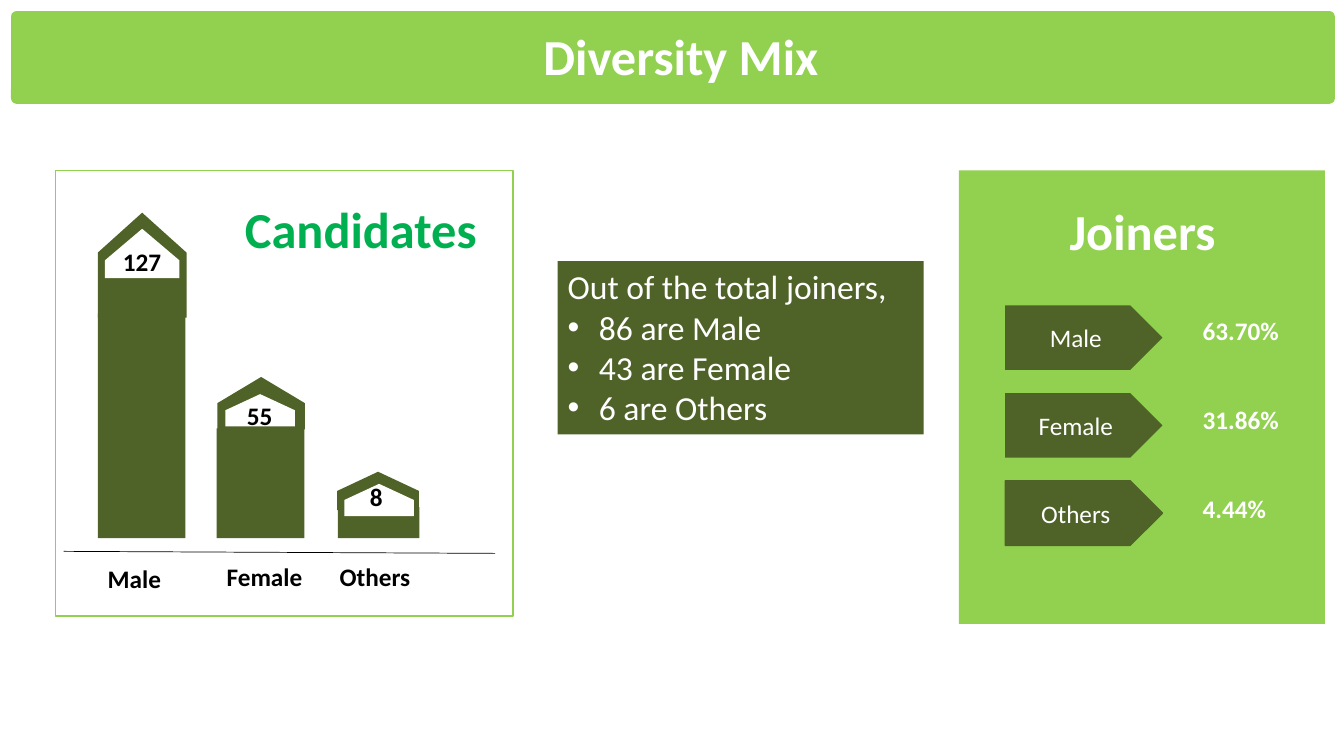
"""Build the Diversity Mix slide."""
import dataclasses

import lxml.etree
import pptx
import pptx.dml.color
import pptx.enum.shapes
import pptx.enum.text
import pptx.oxml.ns
import pptx.util

Inches = pptx.util.Inches
Kind = pptx.enum.shapes.MSO_SHAPE
Align = pptx.enum.text.PP_ALIGN
Anchor = pptx.enum.text.MSO_ANCHOR
Fit = pptx.enum.text.MSO_AUTO_SIZE


@dataclasses.dataclass
class Theme:
    font: str = "Calibri"
    lime: str = "92D050"
    olive: str = "4F6228"
    green: str = "00B050"
    white: str = "FFFFFF"
    black: str = "000000"
    head: int = 36
    list: int = 24
    label: int = 18


class Deck:
    def __init__(self, theme):
        self.theme = theme
        self.show = pptx.Presentation()
        self.show.slide_width = Inches(13.33)
        self.show.slide_height = Inches(7.5)
        self.slide = self.show.slides.add_slide(self.show.slide_layouts[1])

    def color(self, code):
        return pptx.dml.color.RGBColor.from_string(code)

    def place(self, shape, box):
        shape.left, shape.top, shape.width, shape.height = map(Inches, box)

    def style(self, frame, size, color, bold=False, align=Align.LEFT):
        for para in frame.paragraphs:
            para.alignment = align
            for run in para.runs:
                run.font.name = self.theme.font
                run.font.size = pptx.util.Pt(size)
                run.font.bold = bold
                run.font.color.rgb = self.color(color)

    def shape(self, kind, box, fill, line=None, adjust=None):
        shape = self.slide.shapes.add_shape(kind, *map(Inches, box))
        shape.shadow.inherit = False
        shape.fill.solid()
        shape.fill.fore_color.rgb = self.color(fill)
        if line:
            shape.line.color.rgb = self.color(line)
            shape.line.width = pptx.util.Pt(1)
        else:
            shape.line.fill.background()
        if adjust is not None:
            shape.adjustments[0] = adjust
        return shape

    def gable(self, mid, top, wide, high, fill, adjust):
        box = (mid - high / 2, top + (high - wide) / 2, high, wide)
        self.shape(Kind.PENTAGON, box, fill, adjust=adjust).rotation = 270

    def tag(self, box, text, line=None):
        shape = self.shape(Kind.PENTAGON, box, self.theme.olive, line)
        shape.text_frame.text = text
        shape.text_frame.vertical_anchor = Anchor.MIDDLE
        self.style(shape.text_frame, self.theme.label, self.theme.white, align=Align.CENTER)

    def text(self, box, text, size, color, align=Align.LEFT, wrap=True):
        frame = self.slide.shapes.add_textbox(*map(Inches, box)).text_frame
        frame.word_wrap = wrap
        frame.text = text
        self.style(frame, size, color, True, align)

    def title(self, bar, box, text):
        title = self.slide.shapes.title
        self.place(title, box)
        bar._element.addnext(title._element)
        frame = title.text_frame
        frame.text = text
        frame.auto_size = Fit.NONE
        frame.vertical_anchor = Anchor.TOP
        self.style(frame, self.theme.head, self.theme.white, True)

    def list(self, box, lines):
        body = self.slide.placeholders[1]
        self.place(body, box)
        body.fill.solid()
        body.fill.fore_color.rgb = self.color(self.theme.olive)
        frame = body.text_frame
        frame.text = "\n".join(lines)
        frame.auto_size = Fit.NONE
        for rank, para in enumerate(frame.paragraphs):
            para.space_before = pptx.util.Pt(0)
            props = para._p.get_or_add_pPr()
            inset = Inches(0.31) if rank else 0
            props.set("marL", str(inset))
            props.set("indent", str(-inset))
            name = "a:buChar" if rank else "a:buNone"
            mark = lxml.etree.SubElement(props, pptx.oxml.ns.qn(name))
            if rank:
                mark.set("char", "•")
        self.style(frame, self.theme.list, self.theme.white, align=Align.JUSTIFY)

    def line(self, start, end):
        line = self.slide.shapes.add_connector(
            pptx.enum.shapes.MSO_CONNECTOR.STRAIGHT, *map(Inches, start + end))
        line.line.color.rgb = self.color(self.theme.black)
        line.line.width = pptx.util.Pt(0.5)
        lxml.etree.SubElement(line._element.spPr, pptx.oxml.ns.qn("a:effectLst"))


def main():
    theme = Theme()
    deck = Deck(theme)
    deck.shape(Kind.ROUNDED_RECTANGLE, (9.51, 1.69, 3.63, 4.5), theme.lime, adjust=0)
    bar = deck.shape(Kind.ROUNDED_RECTANGLE, (0.11, 0.11, 13.13, 0.92), theme.lime, adjust=0.058)
    deck.title(bar, (5.29, 0.2, 5.22, 0.71), "Diversity Mix")
    deck.list((5.53, 2.59, 3.63, 1.72), [
        "Out of the total joiners,", "86 are Male", "43 are Female", "6 are Others"])

    deck.text((10.51, 1.94, 1.74, 0.71), "Joiners", theme.head, theme.white)
    shares = [("Male", "63.70%", None), ("Female", "31.86%", None),
              ("Others", "4.44%", theme.olive)]
    for rank, (name, share, edge) in enumerate(shares):
        deck.tag((9.97, 3.03 + 0.87 * rank, 1.56, 0.64), name, edge)
        deck.text((11.83, 3.08 + 0.88 * rank, 0.96, 0.4), share,
                  theme.label, theme.white, wrap=False)

    deck.shape(Kind.RECTANGLE, (0.55, 1.69, 4.54, 4.42), theme.white, theme.lime)
    deck.text((2.3, 1.92, 2.56, 0.71), "Candidates", theme.head, theme.green, Align.CENTER)
    base = 5.34
    towers = [
        ((0.97, 3.11, 0.87), (1.41, 2.11, 0.88, 1.04), 0.45, (1.41, 2.27, 0.74, 0.49), 0.64,
         "127", (1.12, 2.39, 0.59, 0.4), "Male", (0.97, 5.54, 0.73, 0.4)),
        ((2.15, 4.25, 0.87), (2.59, 3.74, 0.87, 0.52), 0.5, (2.58, 3.91, 0.69, 0.32), 0.5,
         "55", (2.35, 3.92, 0.46, 0.4), "Female", (2.15, 5.52, 0.96, 0.4)),
        ((3.35, 5.03, 0.81), (3.75, 4.68, 0.81, 0.38), 0.5, (3.76, 4.8, 0.69, 0.32), 0.5,
         "8", (3.57, 4.73, 0.31, 0.4), "Others", (3.27, 5.52, 0.91, 0.4)),
    ]
    for (left, top, wide), roof, slope, pane, pitch, count, spot, name, foot in towers:
        deck.shape(Kind.RECTANGLE, (left, top, wide, base - top), theme.olive)
        deck.gable(*roof, theme.olive, slope)
        deck.gable(*pane, theme.white, pitch)
        deck.text(spot, count, theme.label, theme.black)
        deck.text(foot, name, theme.label, theme.black)
    deck.line((0.63, 5.47), (4.91, 5.49))
    deck.show.save("out.pptx")


if __name__ == "__main__":
    main()
